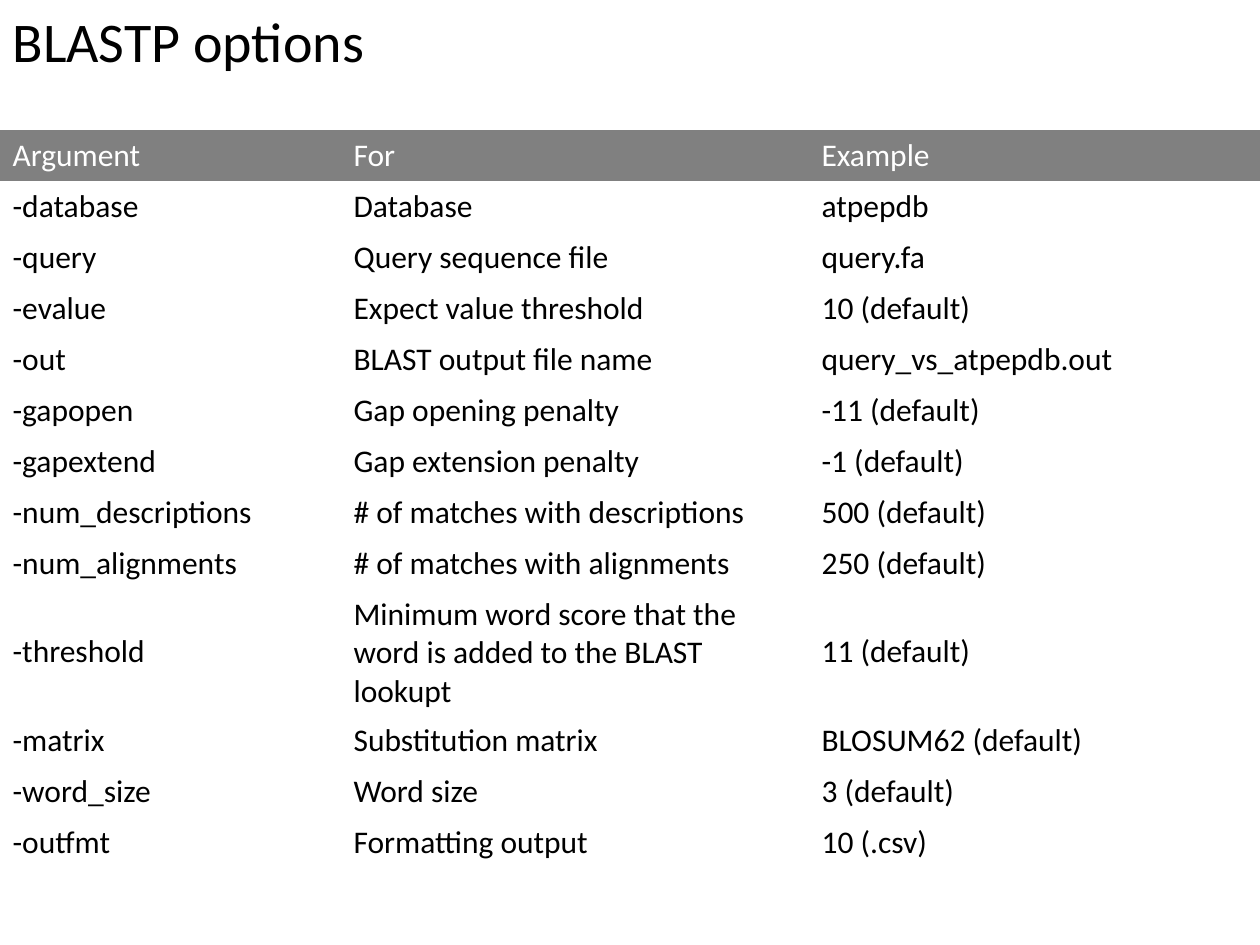
from pptx import Presentation
from pptx.dml.color import RGBColor
from pptx.enum.text import MSO_ANCHOR, MSO_AUTO_SIZE, PP_ALIGN
from pptx.util import Emu, Pt

EMU_PER_PX = 914400 / 126
BLACK = RGBColor(0x00, 0x00, 0x00)
WHITE = RGBColor(0xFF, 0xFF, 0xFF)
GRAY = RGBColor(0x80, 0x80, 0x80)
FONT = "Calibri"
PLAIN_TABLE_STYLE = "{2D5ABB26-0587-4C30-8999-92F81FD0307C}"

COLUMN_WIDTHS = (341, 468, 451)
ROW_HEIGHT = 51
OPTIONS = (
    ("Argument", "For", "Example"),
    ("-database", "Database", "atpepdb"),
    ("-query", "Query sequence file", "query.fa"),
    ("-evalue", "Expect value threshold", "10 (default)"),
    ("-out", "BLAST output file name", "query_vs_atpepdb.out"),
    ("-gapopen", "Gap opening penalty", "-11 (default)"),
    ("-gapextend", "Gap extension penalty", "-1 (default)"),
    ("-num_descriptions", "# of matches with descriptions", "500 (default)"),
    ("-num_alignments", "# of matches with alignments", "250 (default)"),
    ("-threshold",
     "Minimum word score that the word is added to the BLAST lookupt",
     "11 (default)"),
    ("-matrix", "Substitution matrix", "BLOSUM62 (default)"),
    ("-word_size", "Word size", "3 (default)"),
    ("-outfmt", "Formatting output", "10 (.csv)"),
)


def px(n):
    return Emu(round(n * EMU_PER_PX))


def add_run(p, text, size, color):
    r = p.add_run()
    r.text = text
    r.font.name = FONT
    r.font.size = Pt(size)
    r.font.color.rgb = color


def set_title(s, text):
    sp = s.shapes.title
    sp.left, sp.top, sp.width, sp.height = px(0), px(0), px(378), px(81)
    tf = sp.text_frame
    tf.word_wrap = False
    tf.auto_size = MSO_AUTO_SIZE.SHAPE_TO_FIT_TEXT
    tf.vertical_anchor = MSO_ANCHOR.TOP
    p = tf.paragraphs[0]
    p.alignment = PP_ALIGN.LEFT
    add_run(p, text, 32, BLACK)


def fill_cell(cell, text, is_header):
    cell.vertical_anchor = MSO_ANCHOR.MIDDLE
    if is_header:
        cell.fill.solid()
        cell.fill.fore_color.rgb = GRAY
    else:
        cell.fill.background()
    p = cell.text_frame.paragraphs[0]
    add_run(p, text, 18, WHITE if is_header else BLACK)


def add_options_table(s, rows):
    frame = s.shapes.add_table(
        len(rows), len(COLUMN_WIDTHS), px(0), px(130),
        px(sum(COLUMN_WIDTHS)), px(ROW_HEIGHT * len(rows)))
    table = frame.table
    table.first_row = table.horz_banding = False
    table._tbl.tblPr[0].text = PLAIN_TABLE_STYLE
    for column, width in zip(table.columns, COLUMN_WIDTHS):
        column.width = px(width)
    for i, texts in enumerate(rows):
        table.rows[i].height = px(ROW_HEIGHT)
        for j, text in enumerate(texts):
            fill_cell(table.cell(i, j), text, is_header=i == 0)


def main():
    prs = Presentation()
    prs.slide_width, prs.slide_height = px(1260), px(945)
    s = prs.slides.add_slide(prs.slide_layouts[5])
    add_options_table(s, OPTIONS)
    set_title(s, "BLASTP options")
    prs.save("out.pptx")


if __name__ == "__main__":
    main()
